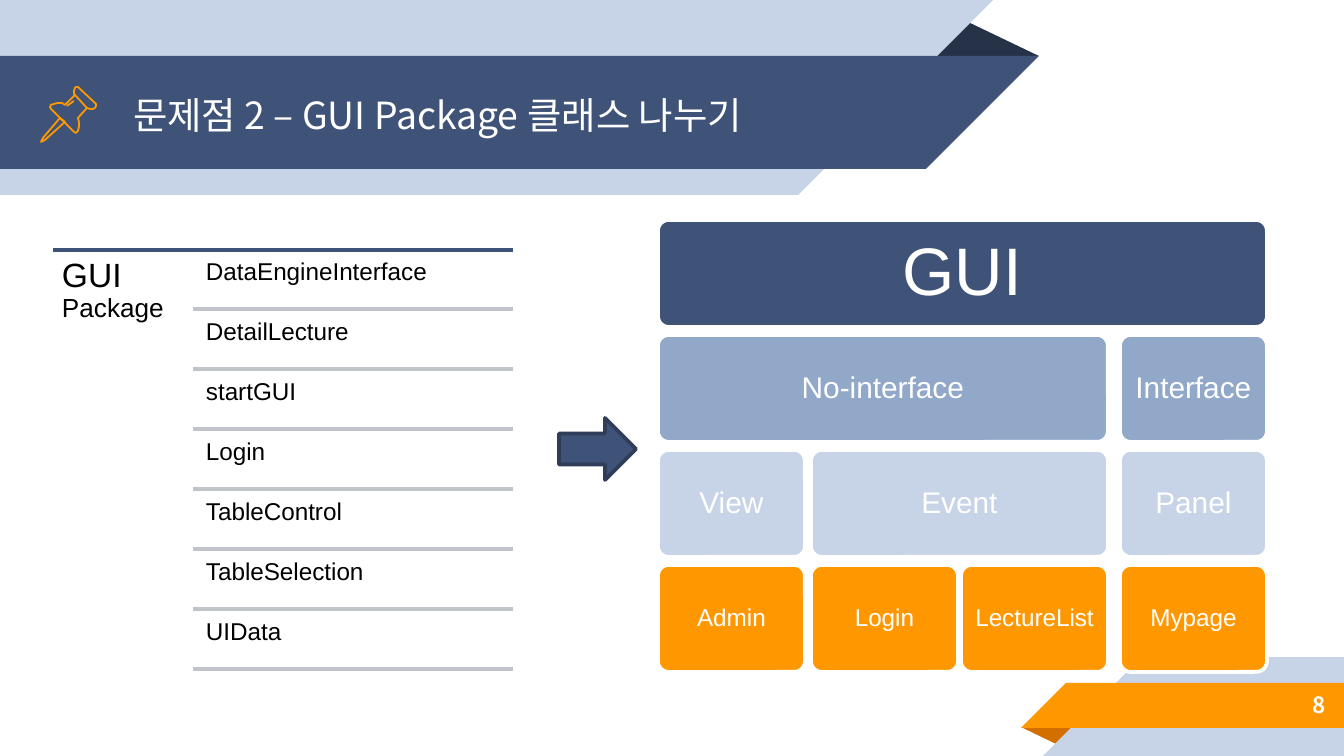
from lxml import etree
from pptx import Presentation
from pptx.dml.color import RGBColor
from pptx.enum.shapes import MSO_CONNECTOR, MSO_SHAPE
from pptx.enum.text import MSO_ANCHOR, PP_ALIGN
from pptx.oxml.ns import qn
from pptx.util import Pt

PX = 914400 / 134.4  # EMU in one pixel
LATIN, KOREAN = "Arial", "Noto Sans CJK KR"
LEFT, CENTER, RIGHT = PP_ALIGN.LEFT, PP_ALIGN.CENTER, PP_ALIGN.RIGHT
TOP, MIDDLE = MSO_ANCHOR.TOP, MSO_ANCHOR.MIDDLE
RECT, CORNER, TRIANGLE = MSO_SHAPE.RECTANGLE, MSO_SHAPE.RIGHT_TRIANGLE, MSO_SHAPE.ISOSCELES_TRIANGLE
TILE, ARROW = MSO_SHAPE.ROUNDED_RECTANGLE, MSO_SHAPE.RIGHT_ARROW
STRAIGHT = MSO_CONNECTOR.STRAIGHT

COLORS = {
    "navy": "3F5378", "dark_navy": "263248", "arrow_edge": "2F3D59",
    "steel": "92A8C8", "pale": "C7D3E6", "divider": "C0C3CA",
    "orange": "FF9800", "dark_orange": "D26F00", "white": "FFFFFF", "black": "000000",
}

CLASSES = ["DataEngineInterface", "DetailLecture", "startGUI", "Login",
           "TableControl", "TableSelection", "UIData"]

# Hierarchy: one (fill, text size, inset) per level, tiles as (label, first column, last column)
COLUMN_LEFTS, TILE_WIDTH = [658, 811, 961, 1120], 147
LEVELS = [
    ("navy", 36, 20, [("GUI", 0, 3)]),
    ("steel", 16, 9, [("No-interface", 0, 2), ("Interface", 3, 3)]),
    ("pale", 16, 9, [("View", 0, 0), ("Event", 1, 2), ("Panel", 3, 3)]),
    ("orange", 13, 7, [("Admin", 0, 0), ("Login", 1, 1), ("LectureList", 2, 2), ("Mypage", 3, 3)]),
]

# Outlines of the pushpin: needle, head, body, groove
PIN_NEEDLE = [(60, 118), (43, 138), (41, 142), (45, 140), (65, 122)]
PIN_HEAD = [(75, 95), (87, 108), (90, 109), (93, 109), (95, 108), (96, 106), (96, 104),
            (78, 87), (76, 87), (75, 88), (74, 91), (74, 94)]
PIN_BODY = [(75, 95), (65, 105), (62, 103), (58, 103), (54, 104), (51, 105), (50, 107), (51, 109),
            (74, 132), (76, 133), (78, 131), (79, 127), (79, 122), (78, 118), (87, 108)]
PIN_GROOVE = [(67, 106), (74, 101)]


def px(*lengths):
    return [round(length * PX) for length in lengths]


def rgb(name):
    return RGBColor.from_string(COLORS[name])


def write(shape, text, size, color="white", font=LATIN, bold=False,
          align=CENTER, anchor=MIDDLE, inset=0, spacing=0.9):
    """Append a run to the shape's first paragraph and format its frame."""
    frame = shape.text_frame
    frame.word_wrap = True
    frame.vertical_anchor = anchor
    margin, = px(inset)
    frame.margin_left = frame.margin_top = frame.margin_right = frame.margin_bottom = margin
    paragraph = frame.paragraphs[0]
    paragraph.alignment = align
    paragraph.line_spacing = spacing
    run = paragraph.add_run()
    run.text = text
    run.font.size, run.font.name, run.font.bold = Pt(size), font, bold
    run.font.color.rgb = rgb(color)
    east_asian = etree.SubElement(run.font._element, qn("a:ea"))
    east_asian.set("typeface", font)


def add_text(slide, box, text, size, **style):
    textbox = slide.shapes.add_textbox(*px(*box))
    write(textbox, text, size, **style)
    return textbox


def add_block(slide, kind, box, fill, edge=None, adjust=None, rotation=0):
    block = slide.shapes.add_shape(kind, *px(*box))
    block.shadow.inherit = False
    block.rotation = rotation
    block.fill.solid()
    block.fill.fore_color.rgb = rgb(fill)
    if adjust is not None:
        block.adjustments[0] = adjust
    if edge:
        block.line.color.rgb = rgb(edge)
        block.line.width = Pt(2)
    else:
        block.line.fill.background()
    return block


def add_rule(slide, left, right, y, color):
    rule = slide.shapes.add_connector(STRAIGHT, *px(left, y, right, y))
    rule.line.color.rgb = rgb(color)
    rule.line.width = Pt(2)
    etree.SubElement(rule._element.spPr, qn("a:effectLst"))


def add_outline(slide, points, closed):
    builder = slide.shapes.build_freeform(*points[0], scale=PX)
    builder.add_line_segments(points[1:], close=closed)
    outline = builder.convert_to_shape()
    outline.shadow.inherit = False
    outline.fill.background()
    outline.line.color.rgb = rgb("orange")
    outline.line.width = Pt(0.96)


def add_top_band(slide, y, width, height, fill):
    """Band from the left edge, its right end slanting in downwards."""
    add_block(slide, RECT, (0, y, width, height), fill)
    add_block(slide, CORNER, (width, y, height, height), fill, rotation=90)


def add_bottom_band(slide, left, y, height, fill):
    """Band to the right edge, its left end slanting out downwards."""
    add_block(slide, RECT, (left, y, 1344 - left, height), fill)
    add_block(slide, CORNER, (left - height, y, height, height), fill, rotation=270)


def add_ribbons(slide):
    add_block(slide, TRIANGLE, (1021, 727, 58, 19), "dark_orange", adjust=0.324, rotation=180)
    add_bottom_band(slide, 1142, 657, 99, "pale")
    add_bottom_band(slide, 1066, 683, 45, "orange")
    add_block(slide, TRIANGLE, (925, 19, 114, 37), "dark_navy", adjust=0.324)
    add_top_band(slide, 0, 798, 195, "pale")
    add_top_band(slide, 56, 926, 113, "navy")


def add_title(slide, text):
    title = slide.shapes.title
    title.left, title.top, title.width, title.height = px(120, 58, 808, 113)
    write(title, text, 20, font=KOREAN, align=LEFT, inset=13, spacing=1)
    slide.shapes._spTree.append(title._element)  # in front of the ribbons


def add_pushpin(slide):
    for points in (PIN_NEEDLE, PIN_HEAD):
        add_outline(slide, points, closed=True)
    for points in (PIN_BODY, PIN_GROOVE):
        add_outline(slide, points, closed=False)


def add_class_list(slide):
    add_rule(slide, 53, 513, 250, "navy")
    style = {"color": "black", "align": LEFT, "anchor": TOP}
    package = add_text(slide, (53, 250, 140, 423), "GUI ", 18, inset=9, **style)
    write(package, "Package", 14, inset=9, **style)
    for row, name in enumerate(CLASSES):
        add_text(slide, (199, 253 + 60 * row, 315, 56), name, 13, inset=7, **style)
        add_rule(slide, 193, 513, 309 + 60 * row, "divider")


def add_hierarchy(slide):
    for level, (fill, size, inset, tiles) in enumerate(LEVELS):
        for label, first, last in tiles:
            left = COLUMN_LEFTS[first]
            width = COLUMN_LEFTS[last] + TILE_WIDTH - left
            tile = add_block(slide, TILE, (left, 220 + 115 * level, width, 107), fill,
                             edge="white", adjust=0.1)
            write(tile, label, size, inset=inset)


def main():
    prs = Presentation()
    prs.slide_width, prs.slide_height = px(1344, 756)
    slide = prs.slides.add_slide(prs.slide_layouts[5])

    # Header and footer
    add_ribbons(slide)
    add_title(slide, "문제점 2 – GUI Package 클래스 나누기")
    add_text(slide, (1120, 681, 219, 47), "8", 12, font=KOREAN, bold=True,
             align=RIGHT, inset=13, spacing=1)
    add_pushpin(slide)

    # Classes before, arrow, hierarchy after
    add_class_list(slide)
    add_block(slide, ARROW, (559, 418, 77, 62), "navy", edge="arrow_edge")
    add_hierarchy(slide)

    prs.save("out.pptx")


if __name__ == "__main__":
    main()
